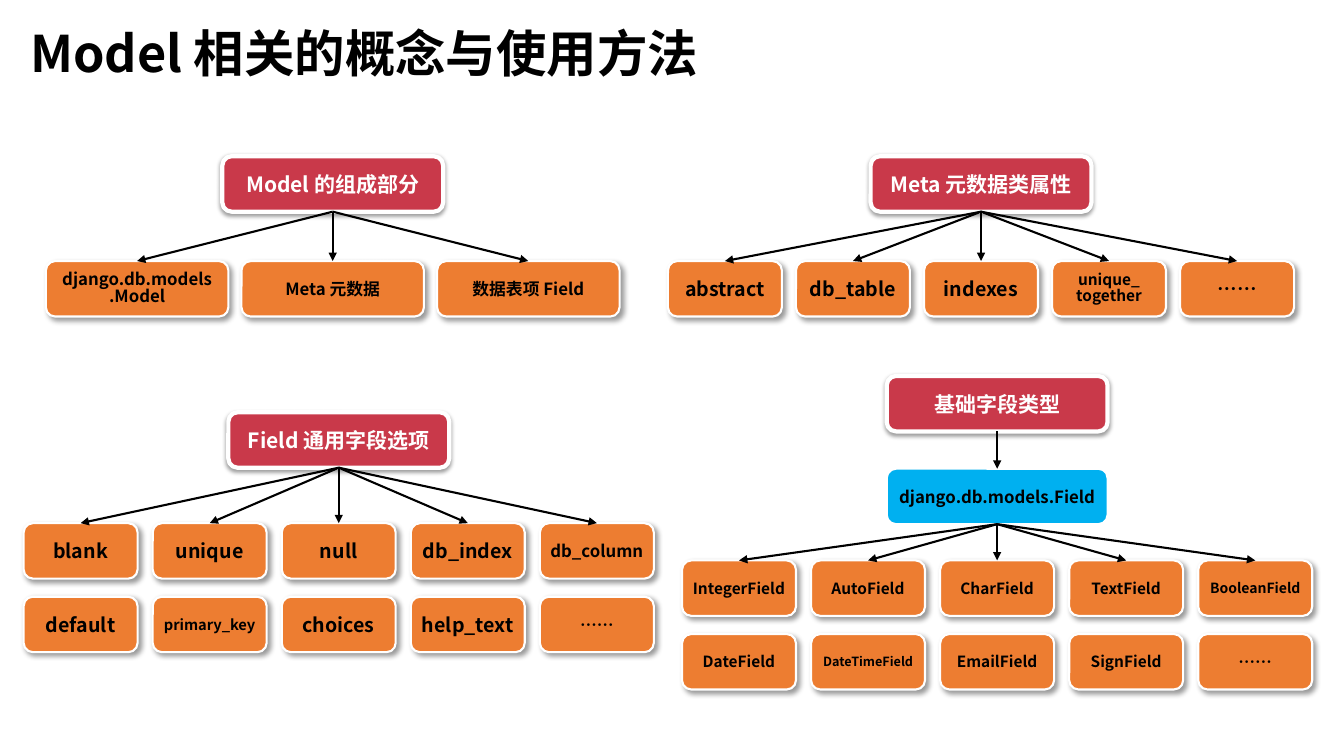
from dataclasses import dataclass

from lxml.etree import SubElement
from pptx import Presentation
from pptx.dml.color import RGBColor
from pptx.enum.shapes import MSO_CONNECTOR, MSO_SHAPE
from pptx.enum.text import MSO_ANCHOR, MSO_AUTO_SIZE, PP_ALIGN
from pptx.oxml.ns import qn
from pptx.slide import Slide
from pptx.text.text import TextFrame
from pptx.util import Inches, Pt

FONT = "Noto Sans CJK SC"
BOX_HEIGHT = 0.55
ROOT_WIDTH = 2.19
ROW_STEP = 0.73


@dataclass(frozen=True)
class Shadow:
    opacity: int
    blur: float
    distance: float
    angle: int


@dataclass(frozen=True)
class BoxStyle:
    fill: str
    text_color: str
    border: float
    shadow: Shadow | None = None


@dataclass(frozen=True)
class Label:
    text: str
    size: float = 14


@dataclass(frozen=True)
class Tree:
    title: str
    center: float
    top: float
    leaf_top: float
    leaf_width: float
    column_step: float
    rows: list[list[Label]]
    base: Label | None = None
    base_top: float = 0


ROOT = BoxStyle("C9394A", "FFFFFF", 3, Shadow(38, 3.1, 1.6, 90))
LEAF = BoxStyle("ED7D31", "000000", 1.5, Shadow(40, 4, 3, 45))
BASE = BoxStyle("00B0F0", "000000", 1.5)

TREES = [
    Tree("Model 的组成部分", 3.3, 1.55, 2.59, 1.81, 1.94, [
        [Label("django.db.models\n.Model", 12), Label("Meta 元数据", 12),
         Label("数据表项 Field", 12)],
    ]),
    Tree("Meta 元数据类属性", 9.73, 1.55, 2.59, 1.13, 1.27, [
        [Label("abstract"), Label("db_table"), Label("indexes"),
         Label("unique_\ntogether", 11), Label("……")],
    ]),
    Tree("Field 通用字段选项", 3.36, 4.09, 5.19, 1.13, 1.28, [
        [Label("blank"), Label("unique"), Label("null"),
         Label("db_index"), Label("db_column", 12)],
        [Label("default"), Label("primary_key", 10.5), Label("choices"),
         Label("help_text"), Label("……", 12)],
    ]),
    Tree("基础字段类型", 9.89, 3.73, 5.56, 1.13, 1.28, [
        [Label("IntegerField", 11), Label("AutoField", 11), Label("CharField", 11),
         Label("TextField", 11), Label("BooleanField", 10)],
        [Label("DateField", 11), Label("DateTimeField", 9), Label("EmailField", 11),
         Label("SignField", 11), Label("……", 12)],
    ], Label("django.db.models.Field", 12), 4.65),
]


def color(value: str) -> RGBColor:
    return RGBColor.from_string(value)


def format_text(frame: TextFrame, size: float, text_color: str,
                align: PP_ALIGN, spacing: float) -> None:
    for para in frame.paragraphs:
        para.alignment = align
        para.line_spacing = spacing
        for span in para.runs:
            span.font.name = FONT
            span.font.size = Pt(size)
            span.font.bold = True
            span.font.color.rgb = color(text_color)
            # Chinese characters take the East Asian typeface
            SubElement(span.font._element, qn("a:ea"), typeface=FONT)


def add_shadow(box, shadow: Shadow) -> None:
    effects = box._element.spPr.find(qn("a:effectLst"))
    outer = SubElement(
        effects, qn("a:outerShdw"), blurRad=str(Pt(shadow.blur)),
        dist=str(Pt(shadow.distance)), dir=str(shadow.angle * 60000),
        algn="ctr", rotWithShape="0")
    tint = SubElement(outer, qn("a:srgbClr"), val="000000")
    SubElement(tint, qn("a:alpha"), val=str(shadow.opacity * 1000))


def add_box(page: Slide, center: float, top: float, width: float,
            label: Label, style: BoxStyle) -> None:
    box = page.shapes.add_shape(
        MSO_SHAPE.ROUNDED_RECTANGLE, Inches(center - width / 2), Inches(top),
        Inches(width), Inches(BOX_HEIGHT))
    box.fill.solid()
    box.fill.fore_color.rgb = color(style.fill)
    box.line.color.rgb = color("FFFFFF")
    box.line.width = Pt(style.border)
    box.shadow.inherit = False
    if style.shadow:
        add_shadow(box, style.shadow)
    frame = box.text_frame
    frame.word_wrap = True
    frame.vertical_anchor = MSO_ANCHOR.MIDDLE
    frame.margin_left = frame.margin_right = Inches(0.07)
    frame.margin_top = frame.margin_bottom = Inches(0.04)
    frame.text = label.text
    spacing = 0.85 if "\n" in label.text else 1.0
    format_text(frame, label.size, style.text_color, PP_ALIGN.CENTER, spacing)


def add_arrow(page: Slide, start_x: float, start_y: float,
              end_x: float, end_y: float) -> None:
    arrow = page.shapes.add_connector(
        MSO_CONNECTOR.STRAIGHT, Inches(start_x), Inches(start_y),
        Inches(end_x), Inches(end_y))
    arrow.line.color.rgb = color("000000")
    arrow.line.width = Pt(1.5)
    SubElement(arrow.line._get_or_add_ln(), qn("a:tailEnd"), type="triangle")
    SubElement(arrow._element.spPr, qn("a:effectLst"))


def add_tree(page: Slide, tree: Tree) -> None:
    # Root, and the base class below it if there is one
    add_box(page, tree.center, tree.top, ROOT_WIDTH, Label(tree.title, 15), ROOT)
    branch_y = tree.top + BOX_HEIGHT
    if tree.base:
        add_box(page, tree.center, tree.base_top, ROOT_WIDTH, tree.base, BASE)
        add_arrow(page, tree.center, branch_y, tree.center, tree.base_top)
        branch_y = tree.base_top + BOX_HEIGHT

    # Leaves, centred under the root
    columns = len(tree.rows[0])
    centers = [tree.center + (column - (columns - 1) / 2) * tree.column_step
               for column in range(columns)]
    for row, labels in enumerate(tree.rows):
        for center, label in zip(centers, labels):
            add_box(page, center, tree.leaf_top + row * ROW_STEP,
                    tree.leaf_width, label, LEAF)

    # Branches to the first row
    for center in centers:
        add_arrow(page, tree.center, branch_y, center, tree.leaf_top)


def add_title(page: Slide, text: str) -> None:
    title = page.shapes.title
    title.left, title.top = Inches(0.2), Inches(0.24)
    title.width, title.height = Inches(7.12), Inches(0.71)
    frame = title.text_frame
    frame.word_wrap = True
    frame.auto_size = MSO_AUTO_SIZE.SHAPE_TO_FIT_TEXT
    frame.vertical_anchor = MSO_ANCHOR.TOP
    frame.text = text
    format_text(frame, 36, "000000", PP_ALIGN.LEFT, 0.9)


def main() -> None:
    deck = Presentation()
    deck.slide_width, deck.slide_height = Inches(13.33), Inches(7.5)
    page = deck.slides.add_slide(deck.slide_layouts.get_by_name("Title Only"))
    add_title(page, "Model 相关的概念与使用方法")
    for tree in TREES:
        add_tree(page, tree)
    deck.save("out.pptx")


if __name__ == "__main__":
    main()
